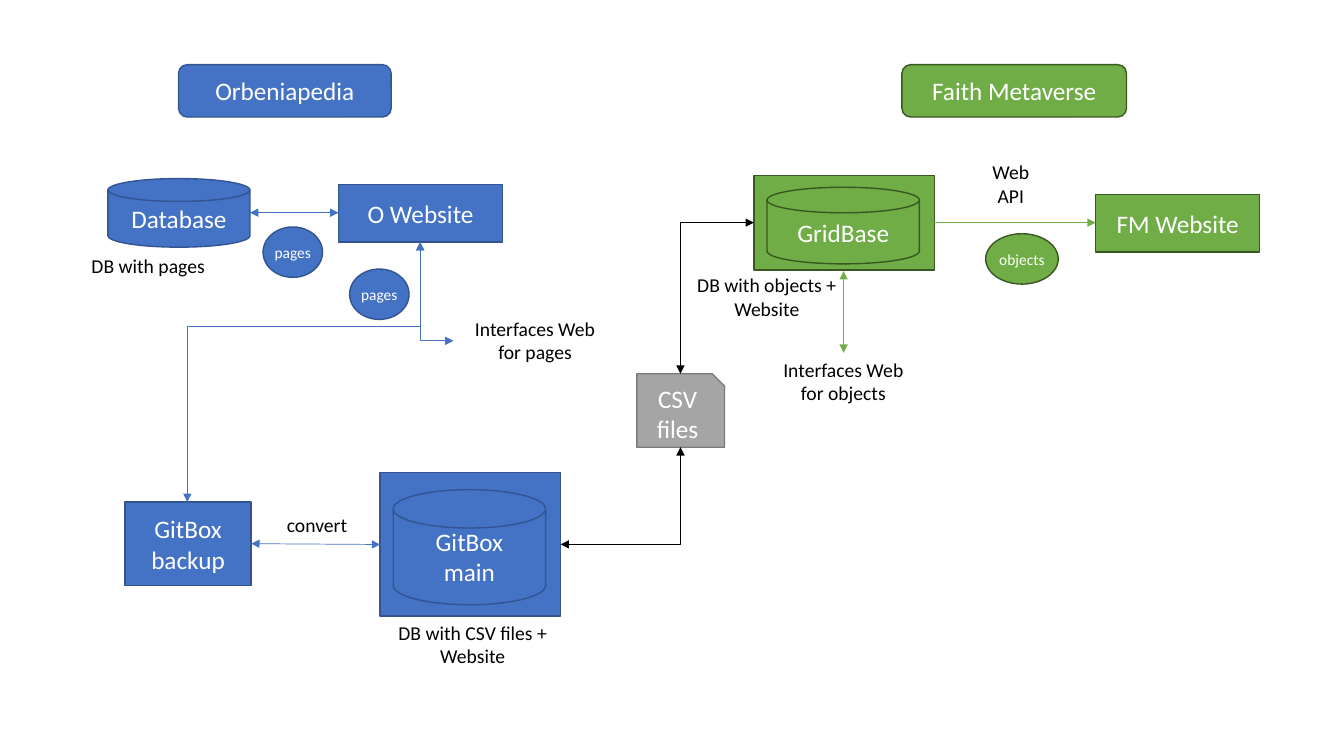
from lxml import etree
from pptx import Presentation
from pptx.dml.color import RGBColor
from pptx.enum.shapes import MSO_CONNECTOR, MSO_SHAPE
from pptx.enum.text import MSO_ANCHOR, PP_ALIGN
from pptx.oxml.ns import qn
from pptx.util import Cm, Pt

RECT = MSO_SHAPE.RECTANGLE
ROUND = MSO_SHAPE.ROUNDED_RECTANGLE
DISK = MSO_SHAPE.FLOWCHART_MAGNETIC_DISK
OVAL = MSO_SHAPE.OVAL
SNIP = MSO_SHAPE.SNIP_1_RECTANGLE
STRAIGHT = MSO_CONNECTOR.STRAIGHT
ELBOW = MSO_CONNECTOR.ELBOW
CENTER = PP_ALIGN.CENTER
TOP = MSO_ANCHOR.TOP
MIDDLE = MSO_ANCHOR.MIDDLE

BLUE = ("4472C4", "325491")
GREEN = ("70AD47", "385723")
GRAY = ("A5A5A5", "7A7A7A")
BLACK = "000000"
WHITE = "FFFFFF"


def rgb(color):
    return RGBColor.from_string(color)


def write(tf, text, size=18, color=WHITE, font="Calibri", anchor=MIDDLE):
    tf.word_wrap = True
    tf.vertical_anchor = anchor
    for i, line in enumerate(text.split("\n")):
        p = tf.paragraphs[0] if i == 0 else tf.add_paragraph()
        p.alignment = CENTER
        r = p.add_run()
        r.text = line
        r.font.name = font
        r.font.size = Pt(size)
        r.font.color.rgb = rgb(color)


class Diagram:
    def __init__(self, s):
        self.shapes = s.shapes

    def node(self, kind, x, y, w, h, colors, text=""):
        sp = self.shapes.add_shape(kind, Cm(x), Cm(y), Cm(w), Cm(h))
        fill, line = colors
        sp.shadow.inherit = False
        sp.fill.solid()
        sp.fill.fore_color.rgb = rgb(fill)
        sp.line.color.rgb = rgb(line)
        sp.line.width = Pt(1)
        if text:
            write(sp.text_frame, text)
        return sp

    def bubble(self, x, y, w, colors, text):
        sp = self.node(OVAL, x, y, w, 1.27, colors)
        tf = sp.text_frame
        tf.margin_left = tf.margin_right = tf.margin_top = tf.margin_bottom = 0
        write(tf, text, size=11)

    def label(self, x, y, w, h, text):
        sp = self.shapes.add_textbox(Cm(x), Cm(y), Cm(w), Cm(h))
        write(sp.text_frame, text, size=14, color=BLACK, anchor=TOP)

    def arrow(self, x1, y1, x2, y2, color, kind=STRAIGHT, both=True):
        c = self.shapes.add_connector(kind, Cm(x1), Cm(y1), Cm(x2), Cm(y2))
        c.line.color.rgb = rgb(color)
        c.line.width = Pt(0.5)
        ln = c.line._get_or_add_ln()
        for end in ("a:headEnd", "a:tailEnd") if both else ("a:tailEnd",):
            etree.SubElement(ln, qn(end), type="triangle")
        etree.SubElement(c._element.spPr, qn("a:effectLst"))
        return c

    def corner(self, x1, y1, x2, y2, color):
        c = self.arrow(x1, y1, x2, y2, color, ELBOW)
        c._element.spPr.find(qn("a:prstGeom")).set("prst", "bentConnector2")

    def step(self, x1, y1, x2, y2, color, bend):
        w, h = y2 - y1, x1 - x2
        left, top = (x1 + x2 - w) / 2, (y1 + y2 - h) / 2
        c = self.arrow(left, top, left + w, top + h, color, ELBOW)
        spPr = c._element.spPr
        spPr.find(qn("a:xfrm")).set("rot", "5400000")
        guides = spPr.find(qn("a:prstGeom")).get_or_add_avLst()
        etree.SubElement(guides, qn("a:gd"), name="adj1", fmla=f"val {bend}")


prs = Presentation()
prs.slide_width, prs.slide_height = Cm(33.87), Cm(19.05)
d = Diagram(prs.slides.add_slide(prs.slide_layouts[6]))

d.node(ROUND, 22.73, 1.63, 5.66, 1.32, GREEN, "Faith Metaverse")
d.node(ROUND, 4.5, 1.63, 5.36, 1.32, BLUE, "Orbeniapedia")

d.node(DISK, 2.72, 4.5, 3.58, 1.73, BLUE, "Database")
d.node(RECT, 19, 4.42, 4.55, 2.39, GREEN)
d.node(DISK, 19.33, 4.72, 3.84, 1.93, GREEN, "GridBase")
d.node(RECT, 8.53, 4.65, 4.14, 1.45, BLUE, "O Website")
d.node(RECT, 27.61, 4.9, 4.14, 1.45, GREEN, "FM Website")
d.node(RECT, 3.15, 12.65, 3.18, 2.11, BLUE, "GitBox\nbackup")
d.node(RECT, 9.58, 11.91, 4.55, 3.61, BLUE)
d.node(DISK, 9.91, 12.34, 3.84, 2.9, BLUE, "GitBox\nmain")
d.node(SNIP, 16.05, 9.42, 2.21, 1.85, GRAY, "CSV\nfiles")

d.bubble(6.63, 5.72, 1.5, BLUE, "pages")
d.bubble(8.81, 6.78, 1.5, BLUE, "pages")
d.bubble(24.84, 5.89, 1.83, GREEN, "objects")

d.label(24.56, 3.91, 1.83, 1.45, "Web API")
d.label(11.43, 7.85, 4.11, 1.45, "Interfaces Web for pages")
d.label(19.2, 8.89, 4.11, 1.45, "Interfaces Web for objects")
d.label(17.27, 6.76, 4.11, 1.45, "DB with objects +\nWebsite")
d.label(1.68, 6.27, 4.11, 0.86, "DB with pages")
d.label(9.58, 15.52, 4.67, 1.45, "DB with CSV files +\nWebsite")
d.label(6.86, 12.8, 2.26, 0.86, "convert")

blue, green = BLUE[0], GREEN[0]
d.arrow(6.3, 5.36, 8.53, 5.36, blue)
d.arrow(23.55, 5.61, 27.61, 5.61, green, both=False)
d.arrow(21.26, 6.83, 21.26, 8.89, green)
d.arrow(9.58, 13.72, 6.33, 13.7, blue)
d.corner(11.43, 8.59, 10.59, 6.1, blue)
d.corner(14.13, 13.72, 17.15, 11.27, BLACK)
d.corner(19, 5.61, 17.15, 9.42, BLACK)
d.step(10.59, 6.1, 4.72, 12.65, blue, 32300)

prs.save("out.pptx")
